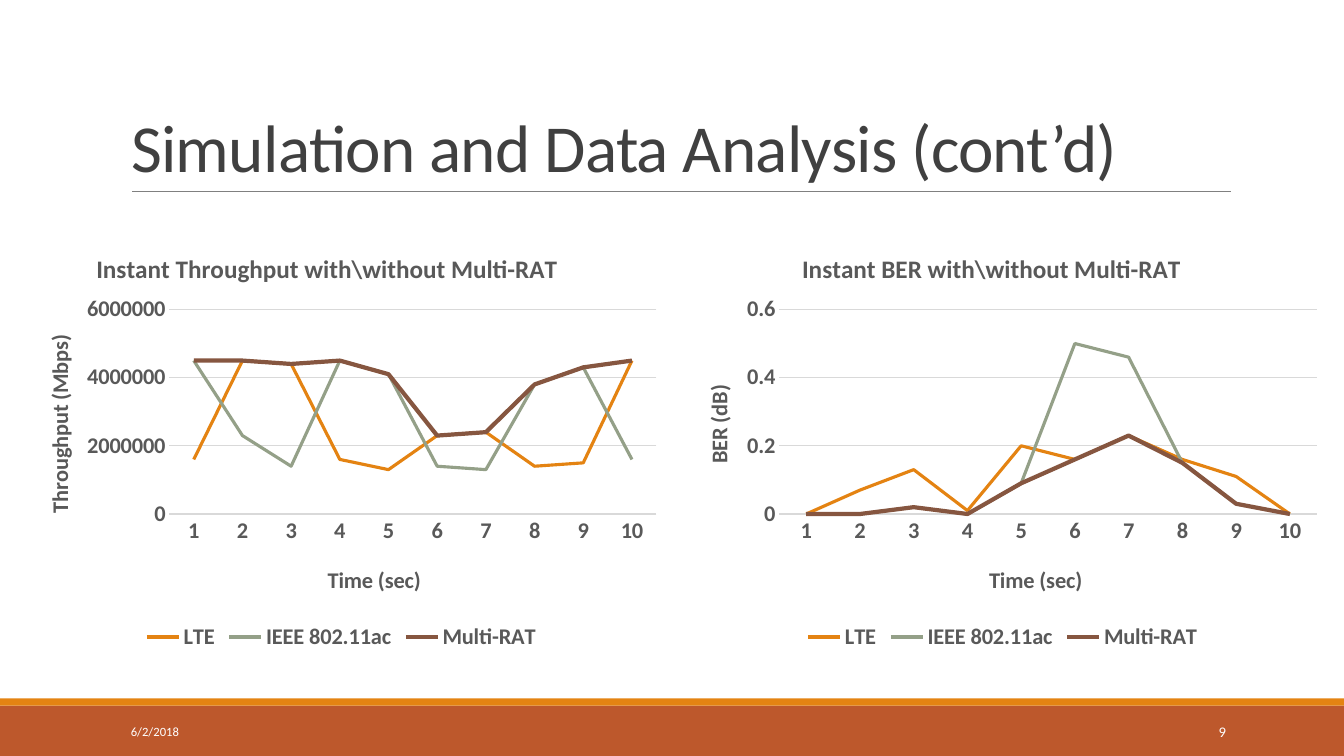
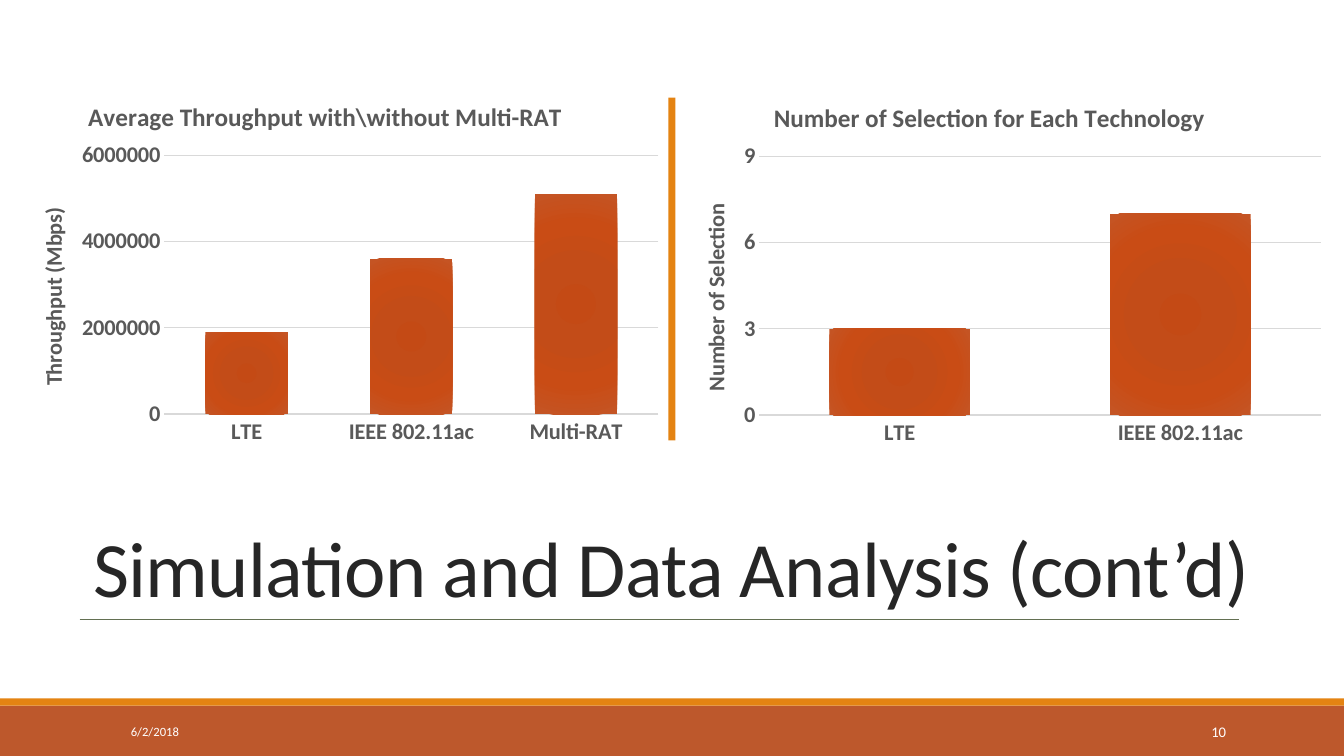
"""Build two slides of simulation results with a shared frame."""
from pptx import Presentation
from pptx.chart.data import CategoryChartData
from pptx.dml.color import RGBColor
from pptx.enum.chart import XL_CHART_TYPE, XL_LEGEND_POSITION, XL_TICK_MARK
from pptx.enum.shapes import MSO_CONNECTOR, MSO_SHAPE
from pptx.enum.text import MSO_ANCHOR, MSO_AUTO_SIZE, PP_ALIGN
from pptx.oxml import parse_xml
from pptx.oxml.ns import nsdecls, qn
from pptx.util import Inches, Pt

LINE, BAR = XL_CHART_TYPE.LINE, XL_CHART_TYPE.COLUMN_CLUSTERED
BOTTOM, NONE = XL_LEGEND_POSITION.BOTTOM, XL_TICK_MARK.NONE
RECT, STRAIGHT = MSO_SHAPE.RECTANGLE, MSO_CONNECTOR.STRAIGHT
LEFT, MID, RIGHT = PP_ALIGN.LEFT, PP_ALIGN.CENTER, PP_ALIGN.RIGHT
LOW, CENTRE, FIXED = MSO_ANCHOR.BOTTOM, MSO_ANCHOR.MIDDLE, MSO_AUTO_SIZE.NONE

FACE, ORANGE, RUST, GREY, PALE = "Calibri", "E48312", "BD582C", "595959", "D9D9D9"
TITLE, DATE = "Simulation and Data Analysis (cont’d)", "6/2/2018"
TECHS = ["LTE", "IEEE 802.11ac", "Multi-RAT"]
STROKES = [(ORANGE, 2.25), ("94A088", 2.25), ("865640", 3)]
STOPS = [(0, "C44A15"), (34, "C34C18"), (70, "C94C15"), (100, "C45525")]
RATES = [
    [1600000, 4500000, 4400000, 1600000, 1300000, 2300000, 2400000, 1400000, 1500000, 4500000],
    [4500000, 2300000, 1400000, 4500000, 4100000, 1400000, 1300000, 3800000, 4300000, 1600000],
    [4500000, 4500000, 4400000, 4500000, 4100000, 2300000, 2400000, 3800000, 4300000, 4500000],
]
ERRORS = [
    [0, 0.07, 0.13, 0.01, 0.2, 0.16, 0.23, 0.16, 0.11, 0],
    [0, 0, 0.02, 0, 0.09, 0.5, 0.46, 0.15, 0.03, 0],
    [0, 0, 0.02, 0, 0.09, 0.16, 0.23, 0.15, 0.03, 0],
]


def tint(code):
    """Turn a hex string into a colour."""
    return RGBColor.from_string(code)


def put(item, **vals):
    """Set each named value on an item."""
    for name, val in vals.items():
        setattr(item, name, val)


def style(font, size, code, bold=False):
    """Format a font in the deck's face."""
    put(font, name=FACE, size=Pt(size), bold=bold)
    font.color.rgb = tint(code)


def stroke(line, code, width):
    """Give a line its colour and width."""
    line.color.rgb = tint(code)
    line.width = Pt(width)


def place(node, box, spot):
    """Fix a chart part at a spot given in slide inches."""
    left, top, wide, high = box
    parts = [(spot[0] - left) / wide, (spot[1] - top) / high]
    if len(spot) == 4:
        parts += [spot[2] / wide, spot[3] / high]
    old = node.find(qn("c:layout"))
    if old is not None:
        node.remove(old)
    inner = '<c:layoutTarget val="inner"/>' if len(spot) == 4 else ""
    modes = '<c:xMode val="edge"/><c:yMode val="edge"/>'
    sizes = "".join(f'<c:{key} val="{val:.4f}"/>' for key, val in zip("xywh", parts))
    node.insert(0 if node.find(qn("c:tx")) is None else 1, parse_xml(
        f'<c:layout {nsdecls("c")}><c:manualLayout>{inner}{modes}{sizes}'
        '</c:manualLayout></c:layout>'))


def glow(bars):
    """Fill a bar series with a round gradient."""
    bars.format.fill.solid()
    props = bars._element.find(qn("c:spPr"))
    stops = "".join(f'<a:gs pos="{pos * 1000}"><a:srgbClr val="{code}"/></a:gs>'
                    for pos, code in STOPS)
    edges = " ".join(f'{side}="100000"' for side in "ltrb")
    props.replace(props.find(qn("a:solidFill")), parse_xml(
        f'<a:gradFill {nsdecls("a")} rotWithShape="1"><a:gsLst>{stops}</a:gsLst>'
        f'<a:path path="circle"><a:fillToRect {edges}/></a:path></a:gradFill>'))


class Deck:
    """Hold the presentation and draw on the current slide."""

    def __init__(self):
        """Start an empty wide deck."""
        self.prs = Presentation()
        put(self.prs, slide_width=Inches(13.33), slide_height=Inches(7.5))

    def page(self, num, box, size, code, side, rule):
        """Add a slide with its title, rule, bands and footer."""
        self.slide = self.prs.slides.add_slide(self.prs.slide_layouts[5])
        self.shapes = self.slide.shapes
        self.band((0, 7, 13.33, 0.5), RUST)
        self.band((0, 6.93, 13.33, 0.07), ORANGE)
        self.rule(*rule)
        self.text((1.2, 7.06, 2.7, 0.4), DATE, 9, LEFT)
        self.text((10.83, 7.06, 1.43, 0.4), str(num), 10.5, RIGHT)
        head = self.shapes.title
        for name, val in zip(("left", "top", "width", "height"), box):
            setattr(head, name, Inches(val))
        run = self.words(head.text_frame, TITLE, size, code, side, LOW)
        head.text_frame.paragraphs[0].line_spacing = 0.85
        run._r.get_or_add_rPr().set("spc", "-50")

    def words(self, frame, words, size, code, side, anchor):
        """Fill a frame with one line of text and return its run."""
        put(frame, word_wrap=True, auto_size=FIXED, vertical_anchor=anchor)
        para = frame.paragraphs[0]
        para.alignment = side
        run = para.add_run()
        run.text = words
        style(run.font, size, code)
        return run

    def text(self, box, words, size, side):
        """Add white footer text."""
        frame = self.shapes.add_textbox(*map(Inches, box)).text_frame
        self.words(frame, words, size, "FFFFFF", side, CENTRE)

    def band(self, box, code):
        """Add a plain filled bar."""
        bar = self.shapes.add_shape(RECT, *map(Inches, box))
        bar.shadow.inherit = False
        bar.fill.solid()
        bar.fill.fore_color.rgb = tint(code)
        bar.line.fill.background()

    def rule(self, left, right, top, code):
        """Add a thin level line."""
        line = self.shapes.add_connector(STRAIGHT, *map(Inches, (left, top, right, top)))
        stroke(line.line, code, 0.5)
        line._element.spPr.append(parse_xml(f'<a:effectLst {nsdecls("a")}/>'))

    def label(self, title, words, size, box, spot):
        """Fill and place a chart or axis title."""
        run = title.text_frame.paragraphs[0].add_run()
        run.text = words
        style(run.font, size, GREY, True)
        place(title._element, box, spot)

    def chart(self, kind, box, cats, rows, head, unit, step, plot, time=None):
        """Add a chart, with head and unit as (words, spot) pairs."""
        data = CategoryChartData()
        data.categories = cats
        for name, vals in rows:
            data.add_series(name, vals)
        chart = self.shapes.add_chart(kind, *map(Inches, box), data).chart
        style(chart.font, 16, GREY, True)
        chart.has_title = True
        self.label(chart.chart_title, head[0], 18, box, head[1])
        place(chart._chartSpace.chart.plotArea, box, plot)
        self.axes(chart, box, unit, step, time)
        chart.has_legend = kind == LINE
        group = chart.plots[0]
        group.vary_by_categories = False
        if kind == LINE:
            put(chart.legend, position=BOTTOM, include_in_layout=False)
            style(chart.legend.font, 16, GREY, True)
            for curve, pen in zip(group.series, STROKES):
                curve.smooth = False
                stroke(curve.format.line, *pen)
        else:
            put(group, gap_width=100, overlap=-24)
            glow(group.series[0])

    def axes(self, chart, box, unit, step, time):
        """Format both axes and their titles."""
        down, across = chart.value_axis, chart.category_axis
        for axis in (down, across):
            put(axis, major_tick_mark=NONE, minor_tick_mark=NONE)
            style(axis.tick_labels.font, 16, GREY, True)
        put(down, minimum_scale=0, maximum_scale=3 * step, major_unit=step,
            has_major_gridlines=True)
        put(down.tick_labels, number_format="General", number_format_is_linked=False)
        stroke(down.major_gridlines.format.line, PALE, 0.75)
        down.format.line.fill.background()
        stroke(across.format.line, PALE, 0.75 if time else 1)
        self.label(down.axis_title, unit[0], 16, box, unit[1])
        if time:
            self.label(across.axis_title, "Time (sec)", 16, box, time)


def main():
    """Draw both slides and save them."""
    deck = Deck()
    deck.page(9, (1.2, 0.31, 11, 1.59), 48, "404040", LEFT, (1.31, 12.21, 1.9, "808080"))
    secs = [str(sec) for sec in range(1, 11)]
    deck.chart(LINE, (0.14, 2.22, 6.49, 4.28), secs, zip(TECHS, RATES),
               ("Instant Throughput with\\without Multi-RAT", (0.91, 2.45)),
               ("Throughput (Mbps)", (0.4, 3.28)), 2000000,
               (1.68, 3.07, 4.83, 2.03), (3.21, 5.56))
    deck.chart(LINE, (6.7, 2.22, 6.49, 4.28), secs, zip(TECHS, ERRORS),
               ("Instant BER with\\without Multi-RAT", (7.91, 2.45)),
               ("BER (dB)", (6.94, 3.78)), 0.2,
               (7.73, 3.07, 5.33, 2.03), (9.77, 5.56))

    deck.page(10, (0.69, 4.98, 11.93, 1.16), 56, "262626", MID, (0.79, 12.29, 6.14, "637052"))
    deck.band((6.63, 0.97, 0.07, 3.4), ORANGE)
    deck.chart(BAR, (0.1, 0.71, 6.56, 3.79), TECHS,
               [("Series 1", [1900000, 3600000, 5100000])],
               ("Average Throughput with\\without Multi-RAT", (0.83, 0.94)),
               ("Throughput (Mbps)", (0.34, 2.02)), 2000000, (1.63, 1.54, 4.9, 2.57))
    deck.chart(BAR, (6.67, 0.72, 6.56, 3.79), TECHS[:2], [("Series 1", [3, 7])],
               ("Number of Selection for Each Technology", (7.63, 0.95)),
               ("Number of Selection", (6.91, 1.98)), 3, (7.53, 1.55, 5.57, 2.57))
    deck.prs.save("out.pptx")


if __name__ == "__main__":
    main()
